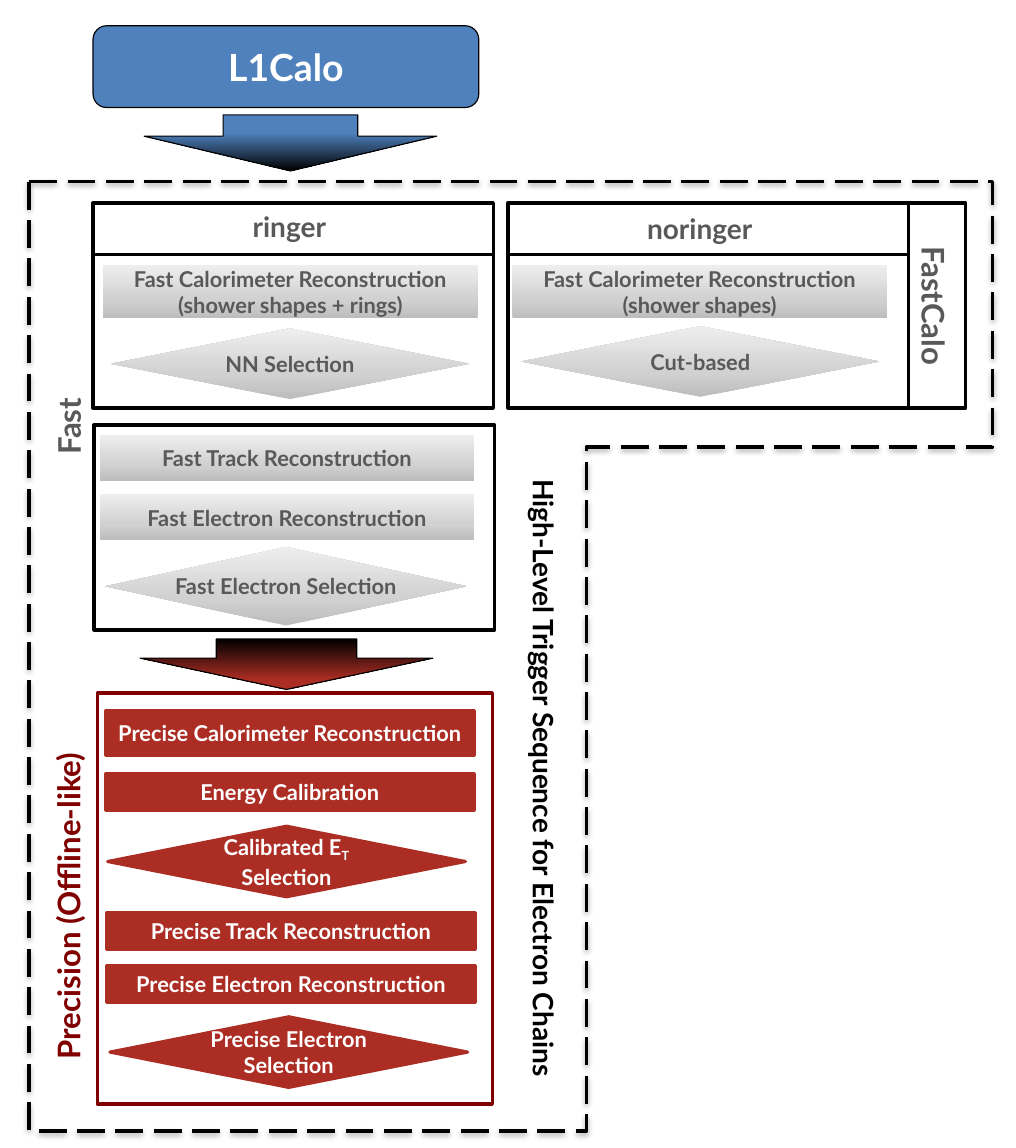
import dataclasses

import pptx
import pptx.dml.color
import pptx.enum.dml
import pptx.enum.shapes
import pptx.enum.text
import pptx.oxml
import pptx.oxml.ns
import pptx.util

Inches = pptx.util.Inches
Pt = pptx.util.Pt
SHAPE = pptx.enum.shapes.MSO_SHAPE
qn = pptx.oxml.ns.qn
NS = pptx.oxml.ns.nsdecls("a")


@dataclasses.dataclass(frozen=True)
class Theme:
    font: str = "Lato"
    black: str = "000000"
    white: str = "FFFFFF"
    grey: str = "595959"
    blue: str = "4F81BD"
    red: str = "AB2D24"
    dark_red: str = "800000"
    silver: tuple = ((0, "BDBDBD"), (35, "D1D1D1"), (100, "EEEEEE"))
    step_size: int = 14
    heading_size: int = 18
    side_size: int = 20
    input_size: int = 24
    frame_width: float = 2.25
    rule_width: float = 2
    thin_width: float = 0.75


THEME = Theme()


def rgb(value):
    return pptx.dml.color.RGBColor.from_string(value)


def set_gradient(sp, stops, angle):
    sp.fill.gradient()
    sp.fill.gradient_angle = angle
    stop_list = sp._element.spPr.find(qn("a:gradFill")).find(qn("a:gsLst"))
    for old in list(stop_list):
        stop_list.remove(old)
    for position, color in stops:
        stop_list.append(pptx.oxml.parse_xml(
            f'<a:gs {NS} pos="{position * 1000}"><a:srgbClr val="{color}"/></a:gs>'))


def write(sp, text, size, color):
    """Fill a shape with centred bold paragraphs, one per line of text."""
    tf = sp.text_frame
    for i, line in enumerate(text.split("\n")):
        p = tf.paragraphs[0] if i == 0 else tf.add_paragraph()
        p.alignment = pptx.enum.text.PP_ALIGN.CENTER
        p.font.name = THEME.font
        p.font.size = Pt(size)
        p.font.bold = True
        p.font.color.rgb = rgb(color)
        p.add_run().text = line
    return tf


def paint(sp, fill=None, line=None, width=THEME.frame_width):
    sp.shadow.inherit = False
    if fill:
        sp.fill.solid()
        sp.fill.fore_color.rgb = rgb(fill)
    else:
        sp.fill.background()
    if line:
        sp.line.color.rgb = rgb(line)
        sp.line.width = Pt(width)
    else:
        sp.line.fill.background()


def add_box(s, kind, box, fill=None, line=None, width=THEME.frame_width):
    sp = s.shapes.add_shape(kind, *map(Inches, box))
    paint(sp, fill, line, width)
    return sp


def add_step(s, kind, box, text, precise=False, wrap=True):
    """Draw a processing step (rectangle) or a selection (diamond)."""
    if precise:
        sp = add_box(s, kind, box, THEME.red, THEME.red, THEME.rule_width)
    else:
        sp = add_box(s, kind, box)
        set_gradient(sp, THEME.silver, 90)
    tf = write(sp, text, THEME.step_size, THEME.white if precise else THEME.grey)
    tf.word_wrap = wrap
    tf.vertical_anchor = pptx.enum.text.MSO_ANCHOR.MIDDLE
    return tf


def add_label(s, box, text, size, color, rotation=0):
    sp = s.shapes.add_textbox(*map(Inches, box))
    sp.rotation = rotation
    tf = write(sp, text, size, color)
    tf.word_wrap = True
    tf.auto_size = pptx.enum.text.MSO_AUTO_SIZE.SHAPE_TO_FIT_TEXT


def add_rule(s, x1, y1, x2, y2):
    rule = s.shapes.add_connector(pptx.enum.shapes.MSO_CONNECTOR.STRAIGHT,
                                  *map(Inches, (x1, y1, x2, y2)))
    rule.line.color.rgb = rgb(THEME.black)
    rule.line.width = Pt(THEME.rule_width)
    rule._element.spPr.append(pptx.oxml.parse_xml(f"<a:effectLst {NS}/>"))


def add_down_arrow(s, box, shaft, stops):
    sp = add_box(s, SHAPE.RIGHT_ARROW, box, line=THEME.black, width=THEME.thin_width)
    sp.rotation = 90
    sp.adjustments[0] = shaft
    sp.adjustments[1] = 0.62
    set_gradient(sp, stops, 0)


def add_trigger_outline(s):
    left, inner, right = map(Inches, (0.26, 5.23, 8.85))
    top, step, bottom = map(Inches, (1.62, 3.99, 10.09))
    outline = s.shapes.build_freeform(left, top)
    outline.add_line_segments(((right, top), (right, step), (inner, step),
                               (inner, bottom), (left, bottom)), close=True)
    sp = outline.convert_to_shape()
    paint(sp, line=THEME.black)
    sp.line.dash_style = pptx.enum.dml.MSO_LINE.LONG_DASH
    sp._element.spPr.find(qn("a:effectLst")).append(pptx.oxml.parse_xml(
        f'<a:outerShdw {NS} blurRad="{Pt(3.1)}" dist="{Pt(1.8)}" dir="5400000" '
        f'rotWithShape="0"><a:srgbClr val="{THEME.black}"><a:alpha val="35000"/>'
        '</a:srgbClr></a:outerShdw>'))


def add_input(s):
    sp = add_box(s, SHAPE.ROUNDED_RECTANGLE, (0.83, 0.23, 3.44, 0.73),
                 THEME.blue, THEME.black, THEME.thin_width)
    tf = write(sp, "L1Calo", THEME.input_size, THEME.white)
    tf.vertical_anchor = pptx.enum.text.MSO_ANCHOR.MIDDLE
    add_down_arrow(s, (2.34, -0.03, 0.5, 2.61), 0.46,
                   ((32, THEME.blue), (100, THEME.black)))


def add_fast_calo(s):
    top, height, rule_y = 1.81, 1.83, 2.27
    chains = (
        (0.83, 3.57, 1.49, 1.82, "ringer", 0.92, "(shower shapes + rings)",
         0.99, 2.93, "NN Selection"),
        (4.53, 4.08, 5.15, 1.84, "noringer", 4.57, "(shower shapes)",
         4.65, 2.91, "Cut-based"),
    )
    for (x, width, name_x, name_y, name, step_x, detail,
         cut_x, cut_y, cut) in chains:
        add_box(s, SHAPE.RECTANGLE, (x, top, width, height), line=THEME.black)
        add_rule(s, x, rule_y, x + 3.57, rule_y)
        add_label(s, (name_x, name_y, 2.18, 0.4), name, THEME.heading_size, THEME.grey)
        add_step(s, SHAPE.RECTANGLE, (step_x, 2.36, 3.34, 0.48),
                 f"Fast Calorimeter Reconstruction\n{detail}")
        add_step(s, SHAPE.DIAMOND, (cut_x, cut_y, 3.19, 0.63), cut, wrap=False)
    add_rule(s, 8.1, top, 8.1, top + height)
    add_label(s, (7.65, 2.51, 1.35, 0.44), "FastCalo", THEME.side_size, THEME.grey, 90)


def add_fast_electron(s):
    add_box(s, SHAPE.RECTANGLE, (0.84, 3.79, 3.57, 1.83), line=THEME.black)
    for y, name in ((3.88, "Track"), (4.41, "Electron")):
        add_step(s, SHAPE.RECTANGLE, (0.89, y, 3.34, 0.41), f"Fast {name} Reconstruction")
    add_step(s, SHAPE.DIAMOND, (0.94, 4.88, 3.22, 0.7), "Fast Electron Selection",
             wrap=False)
    add_label(s, (-1.16, 3.58, 3.55, 0.44), "Fast", THEME.side_size, THEME.grey, 270)


def add_precision(s):
    add_down_arrow(s, (2.33, 4.62, 0.45, 2.61), 0.48,
                   ((0, THEME.black), (80, THEME.red)))
    add_box(s, SHAPE.RECTANGLE, (0.87, 6.18, 3.52, 3.67), line=THEME.dark_red)
    for x, y, height, text in (
        (0.94, 6.34, 0.4, "Precise Calorimeter Reconstruction"),
        (0.94, 6.9, 0.33, "Energy Calibration"),
        (0.95, 8.14, 0.33, "Precise Track Reconstruction"),
        (0.95, 8.61, 0.33, "Precise Electron Reconstruction"),
    ):
        add_step(s, SHAPE.RECTANGLE, (x, y, 3.29, height), text, precise=True)
    tf = add_step(s, SHAPE.DIAMOND, (0.96, 7.37, 3.19, 0.63),
                  "Calibrated E\nSelection", precise=True, wrap=False)
    r = tf.paragraphs[0].add_run()
    r.text = "T"
    r.font._element.set("baseline", "-25000")
    add_step(s, SHAPE.DIAMOND, (0.98, 9.07, 3.19, 0.63), "Precise Electron Selection",
             precise=True)
    add_label(s, (-1.05, 7.86, 3.32, 0.44), "Precision (Offline-like)",
              THEME.side_size, THEME.dark_red, 270)


def main():
    prs = pptx.Presentation()
    prs.slide_width = Inches(9.06)
    prs.slide_height = Inches(10.24)
    s = prs.slides.add_slide(prs.slide_layouts[6])
    add_trigger_outline(s)
    add_input(s)
    add_fast_calo(s)
    add_fast_electron(s)
    add_precision(s)
    add_label(s, (1.91, 6.74, 5.88, 0.4), "High-Level Trigger Sequence for Electron Chains",
              THEME.heading_size, THEME.black, 90)
    prs.save("out.pptx")


if __name__ == "__main__":
    main()
